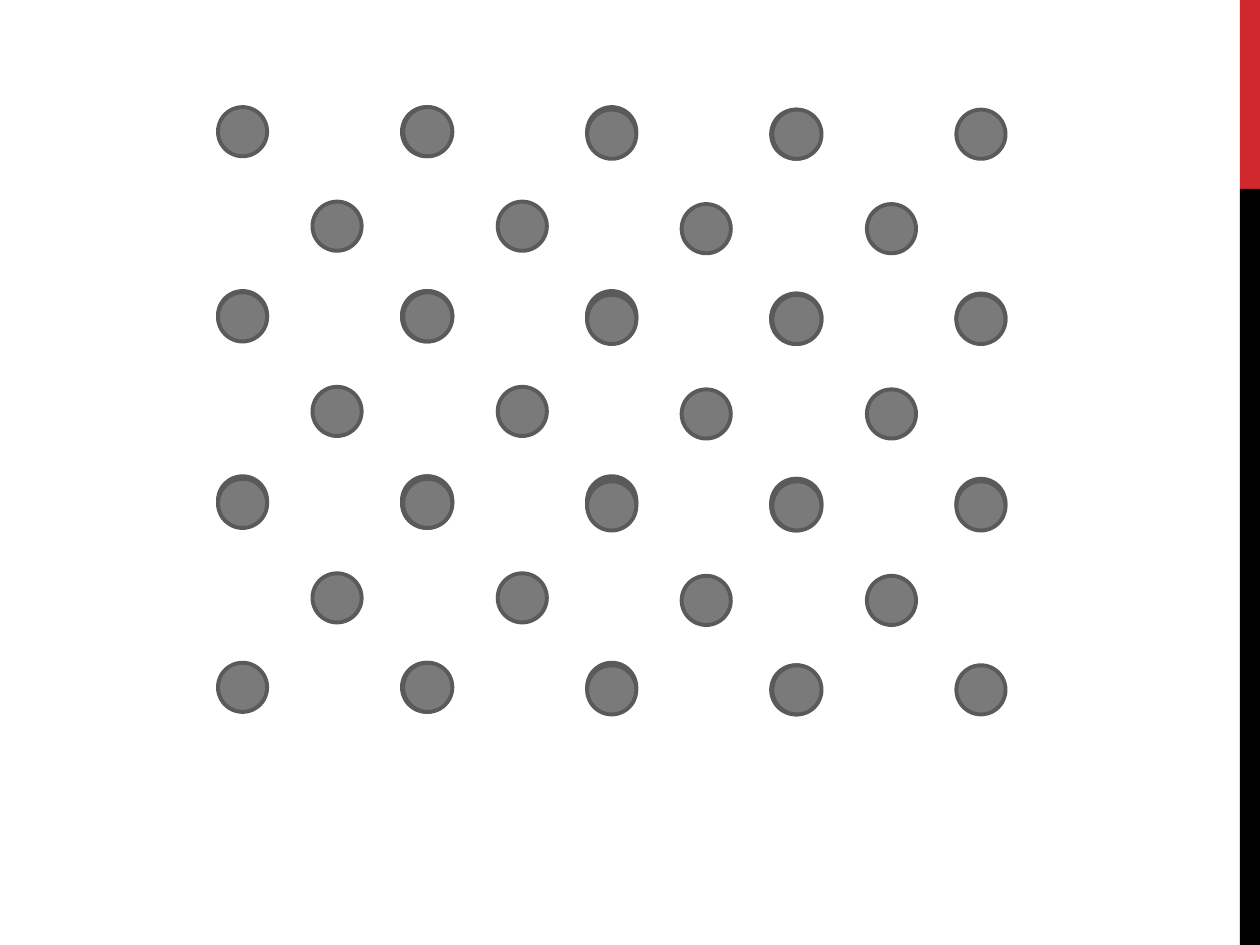
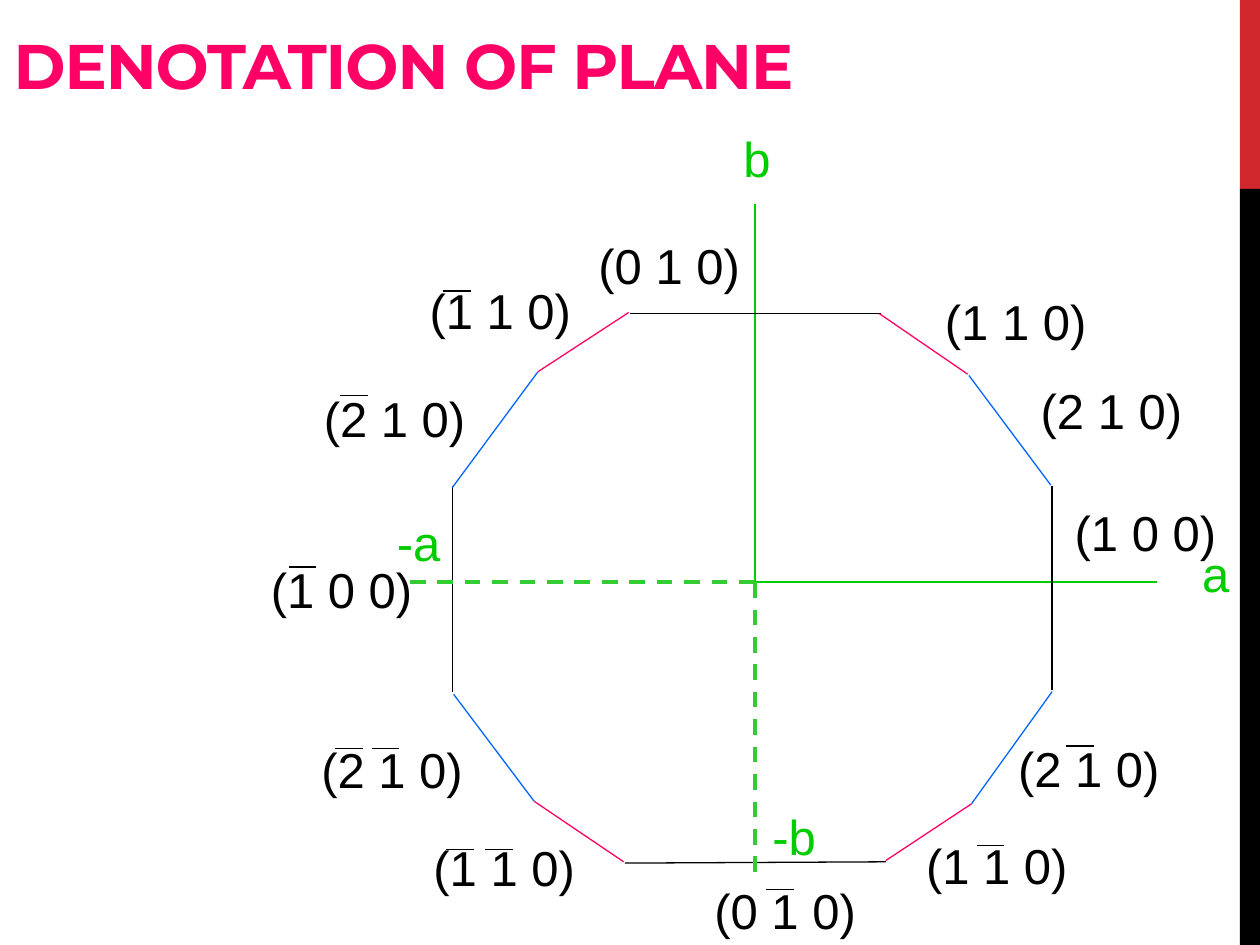
from dataclasses import dataclass
from itertools import product

from lxml import etree
from pptx import Presentation
from pptx.dml.color import RGBColor
from pptx.enum.dml import MSO_LINE_DASH_STYLE as Dash
from pptx.enum.shapes import MSO_CONNECTOR_TYPE as Connector, MSO_SHAPE as Shape
from pptx.enum.text import MSO_ANCHOR as Anchor, MSO_AUTO_SIZE as AutoSize
from pptx.oxml.ns import qn
from pptx.util import Inches, Pt


@dataclass(frozen=True)
class Theme:
    red: RGBColor = RGBColor(0xD1, 0x28, 0x2E)
    black: RGBColor = RGBColor(0, 0, 0)
    atom: RGBColor = RGBColor(0x7A, 0x7A, 0x7A)
    atom_edge: RGBColor = RGBColor(0x5A, 0x5A, 0x5A)
    axis: RGBColor = RGBColor(0, 0xCC, 0)
    negative_axis: RGBColor = RGBColor(0x33, 0xCC, 0x33)
    pink: RGBColor = RGBColor(0xFF, 0, 0x66)
    blue: RGBColor = RGBColor(0, 0x66, 0xFF)
    title_font: str = "Montserrat"
    label_font: str = "Arial"
    title_size: int = 36
    label_size: int = 28
    thin: float = 0.75
    medium: float = 1
    thick: float = 2.25


THEME = Theme()


class SlideBuilder:
    """Holds the theme and the slide being drawn."""

    def __init__(self, presentation, theme):
        self.presentation = presentation
        self.theme = theme
        self.slide = None

    def new_slide(self):
        self.slide = self.presentation.slides.add_slide(self.presentation.slide_layouts[6])
        self.shape(Shape.RECTANGLE, 9.84, 0, 0.16, 1.5, self.theme.red)
        self.shape(Shape.RECTANGLE, 9.84, 1.5, 0.16, 6, self.theme.black)

    def shape(self, kind, left, top, width, height, fill, edge=None):
        shape = self.slide.shapes.add_shape(
            kind, Inches(left), Inches(top), Inches(width), Inches(height))
        shape.shadow.inherit = False
        shape.fill.solid()
        shape.fill.fore_color.rgb = fill
        if edge is None:
            shape.line.fill.background()
        else:
            self.stroke(shape.line, edge, self.theme.thick)

    def stroke(self, line, color, width, dash=None):
        line.color.rgb = color
        for name, value in {"width": Pt(width), "dash_style": dash}.items():
            setattr(line, name, value)

    def line(self, start, end, color, width, dash=None):
        connector = self.slide.shapes.add_connector(
            Connector.STRAIGHT, *(Inches(value) for value in (*start, *end)))
        etree.SubElement(connector._element.spPr, qn("a:effectLst"))
        self.stroke(connector.line, color, width, dash)

    def polyline(self, points, color, width):
        first, *rest = [(Inches(x), Inches(y)) for x, y in points]
        builder = self.slide.shapes.build_freeform(*first)
        builder.add_line_segments(rest, close=False)
        shape = builder.convert_to_shape()
        shape.shadow.inherit = False
        shape.fill.background()
        self.stroke(shape.line, color, width)

    def text(self, content, left, top, width, height, frame_format, font_format, color):
        box = self.slide.shapes.add_textbox(
            Inches(left), Inches(top), Inches(width), Inches(height))
        for name, value in frame_format.items():
            setattr(box.text_frame, name, value)
        run = box.text_frame.paragraphs[0].add_run()
        run.text = content
        for name, value in font_format.items():
            setattr(run.font, name, value)
        run.font.color.rgb = color
        return run

    def title(self, content):
        run = self.text(
            content, 0.01, -0.02, 9.45, 0.88,
            {"word_wrap": True, "vertical_anchor": Anchor.BOTTOM},
            {"name": self.theme.title_font, "size": Pt(self.theme.title_size), "bold": True},
            self.theme.pink)
        run._r.get_or_add_rPr().set("spc", "-60")

    def label(self, content, left, top, width, color):
        margins = dict.fromkeys(
            ("margin_left", "margin_top", "margin_right", "margin_bottom"), 0)
        self.text(
            content, left, top, width, 0.47,
            {**margins, "word_wrap": False, "auto_size": AutoSize.SHAPE_TO_FIT_TEXT},
            {"name": self.theme.label_font, "size": Pt(self.theme.label_size)}, color)


def draw_lattice(builder):
    """Centred square lattice, built from unit cells that share corners."""
    builder.new_slide()
    edge, centre, diameter = 1.46, 0.75, 0.39
    cell_atoms = [*product((0, edge), repeat=2), (centre, centre)]
    # The two right-hand columns of cells sit slightly lower
    columns = [(1.73, 0), (3.2, 0), (4.66, 0.02), (6.13, 0.02)]
    rows = [0.85, 2.32, 3.8]
    for top, (left, drop) in product(rows, columns):
        for x, y in cell_atoms:
            builder.shape(Shape.OVAL, left + x, top + drop + y, diameter, diameter,
                          builder.theme.atom, builder.theme.atom_edge)


def draw_planes(builder):
    theme = builder.theme
    builder.new_slide()

    # Positive axes
    origin = (5.99, 4.62)
    builder.polyline([(5.99, 1.62), origin, (9.18, 4.62)], theme.axis, theme.medium)

    # Crystal faces, by family
    faces = {
        theme.black: [((4.96, 6.85), (7.03, 6.84)), ((5, 2.49), (6.99, 2.49)),
                      ((3.59, 5.49), (3.59, 3.86)), ((8.35, 5.48), (8.35, 3.86))],
        theme.pink: [((4.27, 2.95), (4.99, 2.48)), ((4.24, 6.36), (4.95, 6.84)),
                     ((6.98, 2.49), (7.68, 2.97)), ((7.03, 6.83), (7.71, 6.38))],
        theme.blue: [((3.6, 5.51), (4.24, 6.36)), ((7.69, 2.98), (8.34, 3.85)),
                     ((4.27, 2.95), (3.59, 3.87)), ((8.35, 5.49), (7.71, 6.38))],
    }
    for color, edges in faces.items():
        for start, end in edges:
            builder.line(start, end, color, theme.thin)

    # Negative axes
    for end in [(3.24, 4.62), (5.99, 6.95)]:
        builder.line(origin, end, theme.negative_axis, theme.thick, Dash.DASH)

    # Axis names
    for name, left, top, width in [("b", 5.9, 1.02, 0.22), ("a", 9.54, 4.31, 0.22),
                                   ("-a", 3.15, 4.07, 0.35), ("-b", 6.13, 6.4, 0.35)]:
        builder.label(name, left, top, width, theme.axis)

    # Miller indices: text, left, top, height of the bars, left ends of the bars
    bar_width = 0.22
    indices = [
        ("(1 1 0)", 7.5, 2.31, None, []),
        ("(2 1 0)", 8.26, 3.02, None, []),
        ("(1 0 0)", 8.53, 3.99, None, []),
        ("(0 1 0)", 4.75, 1.87, None, []),
        ("(2 1 0)", 8.08, 5.86, 5.92, [8.46]),
        ("(2 1 0)", 2.55, 5.87, 5.94, [2.66, 2.95]),
        ("(2 1 0)", 2.57, 3.08, 3.14, [2.7]),
        ("(1 1 0)", 7.35, 6.63, 6.71, [7.75]),
        ("(1 1 0)", 3.44, 6.65, 6.74, [3.54, 3.85]),
        ("(1 1 0)", 3.41, 2.23, 2.31, [3.52]),
        ("(0 1 0)", 5.67, 6.99, 7.06, [6.08]),
        ("(1 0 0)", 2.15, 4.44, 4.5, [2.29]),
    ]
    for content, left, top, bar_top, bars in indices:
        builder.label(content, left, top, 1.13, theme.black)
        for bar in bars:
            builder.line((bar, bar_top), (bar + bar_width, bar_top), theme.black, theme.thin)

    builder.title("DENOTATION OF PLANE")


def main():
    presentation = Presentation()
    presentation.slide_width = Inches(10)
    presentation.slide_height = Inches(7.5)
    builder = SlideBuilder(presentation, THEME)
    draw_lattice(builder)
    draw_planes(builder)
    presentation.save("out.pptx")


if __name__ == "__main__":
    main()
